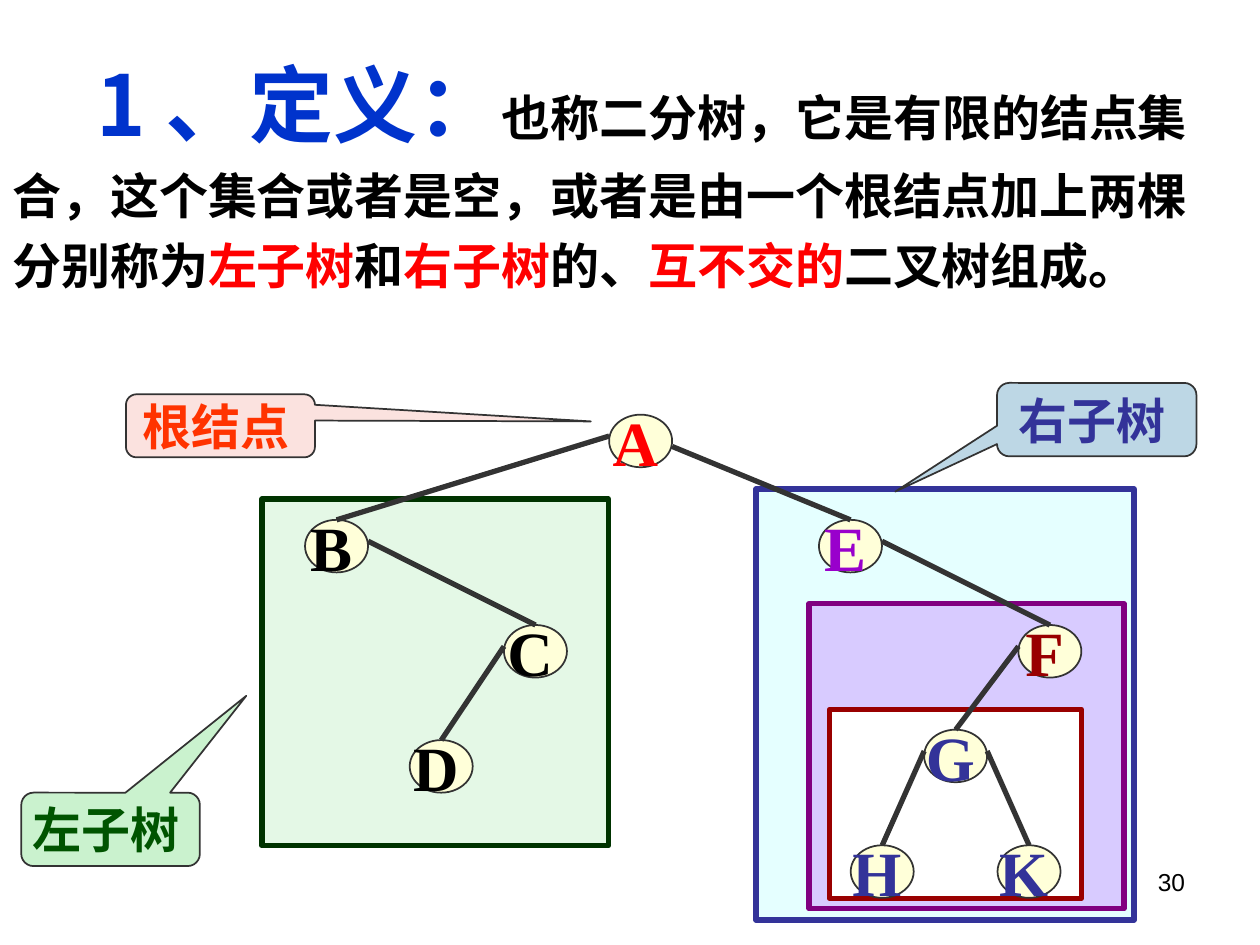
from lxml import etree
from pptx import Presentation
from pptx.dml.color import RGBColor
from pptx.enum.shapes import MSO_CONNECTOR, MSO_SHAPE
from pptx.enum.text import MSO_ANCHOR, PP_ALIGN
from pptx.oxml.ns import qn
from pptx.util import Cm, Pt

RECTANGLE = MSO_SHAPE.RECTANGLE
OVAL = MSO_SHAPE.OVAL
CALLOUT = MSO_SHAPE.ROUNDED_RECTANGULAR_CALLOUT
STRAIGHT = MSO_CONNECTOR.STRAIGHT
MIDDLE = MSO_ANCHOR.MIDDLE
CENTER, RIGHT = PP_ALIGN.CENTER, PP_ALIGN.RIGHT

SERIF, CJK, SANS = "Times New Roman", "Noto Sans CJK SC", "Arial"
COLORS = {
    "black": "000000", "white": "FFFFFF", "red": "FF0000", "blue": "0033CC",
    "ink": "333333", "node": "FFFFD9", "indigo": "333399", "violet": "9900CC",
    "purple": "800080", "maroon": "990000", "cyan": "CCFFFF", "mint": "CAF2CE",
    "forest": "003300", "green": "005400", "lilac": "CC99FF", "pink": "FBE2DF",
    "orange": "FF3300", "sky": "BDD7E5",
}
NODE_WIDTH, NODE_HEIGHT = 1.27, 1.06
NODES = {
    "A": (12.28, 8.36, "red"),
    "B": (6.15, 10.48, "black"),
    "C": (10.16, 12.6, "black"),
    "D": (8.26, 14.92, "black"),
    "E": (16.51, 10.48, "violet"),
    "F": (20.53, 12.6, "maroon"),
    "G": (18.63, 14.71, "indigo"),
    "H": (17.15, 17.04, "indigo"),
    "K": (20.11, 17.04, "indigo"),
}
EDGES = [
    ("A", "B", 0.43), ("B", "C", 0.43), ("C", "D", 0.43), ("A", "E", 0.64),
    ("E", "F", 0.43), ("F", "G", 0.43), ("G", "H", 0.43), ("G", "K", 0.43),
]
SUBTREES = [
    ((15.24, 9.86, 7.62, 8.69), "cyan", "indigo", 50),
    ((5.28, 10.06, 6.99, 6.99), "mint", "forest", 50),
    ((16.31, 12.17, 6.35, 6.15), "lilac", "purple", 50),
    ((16.72, 14.3, 5.08, 3.81), "white", "maroon", 100),
]
CALLOUTS = [
    ("根结点", (2.54, 7.95, 3.81, 1.27), (1.96, -0.07), "pink", "orange"),
    ("左子树", (0.43, 15.98, 3.6, 1.48), (0.76, -1.82), "mint", "green"),
    ("右子树", (20.1, 7.72, 4.02, 1.48), (-1.01, 0.98), "sky", "indigo"),
]
DEFINITION = [
    ("也称二分树，它是有限的结点集合，这个集合或者是空，或者是由一个根结点加上两棵分别称为", "black"),
    ("左子树", "red"),
    ("和", "black"),
    ("右子树", "red"),
    ("的、", "black"),
    ("互不交的", "red"),
    ("二叉树组成。", "black"),
]


def rgb(name):
    return RGBColor.from_string(COLORS[name])


def add_span(para, text, size, color, bold=True, font=SERIF):
    span = para.add_run()
    span.text = text
    span.font.size = Pt(size)
    span.font.bold = bold
    span.font.name = font
    span.font.color.rgb = rgb(color)
    east_asian = etree.SubElement(span.font._element, qn("a:ea"))
    east_asian.set("typeface", CJK)


def add_shape(page, kind, area, fill, line, weight, opacity=100):
    shape = page.shapes.add_shape(kind, *map(Cm, area))
    shape.shadow.inherit = False
    shape.fill.solid()
    shape.fill.fore_color.rgb = rgb(fill)
    shape.line.color.rgb = rgb(line)
    shape.line.width = Pt(weight)
    if opacity < 100:
        color = shape._element.spPr.find(qn("a:solidFill"))[0]
        etree.SubElement(color, qn("a:alpha")).set("val", str(opacity * 1000))
    return shape


def add_label(shape, text, size, color):
    frame = shape.text_frame
    frame.word_wrap = False
    frame.vertical_anchor = MIDDLE
    para = frame.paragraphs[0]
    para.alignment = CENTER
    add_span(para, text, size, color)
    add_span(para, " ", 24, "black", bold=False)


def add_node(page, name):
    left, top, color = NODES[name]
    node = add_shape(page, OVAL, (left, top, NODE_WIDTH, NODE_HEIGHT), "node", "ink", 1)
    add_label(node, name, 36, color)
    return node


def add_edge(page, parent, child, drop):
    start = parent.left if child.left < parent.left else parent.left + parent.width
    edge = page.shapes.add_connector(
        STRAIGHT, start, parent.top + Cm(drop), child.left + child.width // 2, child.top)
    edge.end_connect(child, 0)
    edge.line.color.rgb = rgb("ink")
    edge.line.width = Pt(3)
    etree.SubElement(edge._element.spPr, qn("a:effectLst"))


def add_callout(page, text, area, tip, fill, color):
    callout = add_shape(page, CALLOUT, area, fill, "ink", 1)
    for index, value in enumerate(tip):
        callout.adjustments[index] = value
    add_label(callout, text, 28, color)


def add_text_box(page, area):
    box = page.shapes.add_textbox(*map(Cm, area))
    box.text_frame.word_wrap = True
    return box.text_frame.paragraphs[0]


def add_definition(page):
    para = add_text_box(page, (0, 0.53, 24.97, 5.54))
    para.line_spacing = 1.2
    para._p.get_or_add_pPr().set("indent", str(Cm(1.69)))
    add_span(para, "1、定义：", 48, "blue", font=CJK)
    for text, color in DEFINITION:
        add_span(para, text, 28, color)


def add_page_number(page):
    para = add_text_box(page, (18.21, 17.35, 5.93, 1.32))
    para.alignment = RIGHT
    add_span(para, "30", 14, "black", bold=False, font=SANS)


def main():
    deck = Presentation()
    deck.slide_width, deck.slide_height = Cm(25.4), Cm(19.05)
    page = deck.slides.add_slide(deck.slide_layouts[6])
    for area, fill, line, opacity in SUBTREES:
        add_shape(page, RECTANGLE, area, fill, line, 3, opacity)
    add_definition(page)
    nodes = {name: add_node(page, name) for name in NODES}
    for parent, child, drop in EDGES:
        add_edge(page, nodes[parent], nodes[child], drop)
    for callout in CALLOUTS:
        add_callout(page, *callout)
    add_page_number(page)
    deck.save("out.pptx")


if __name__ == "__main__":
    main()
